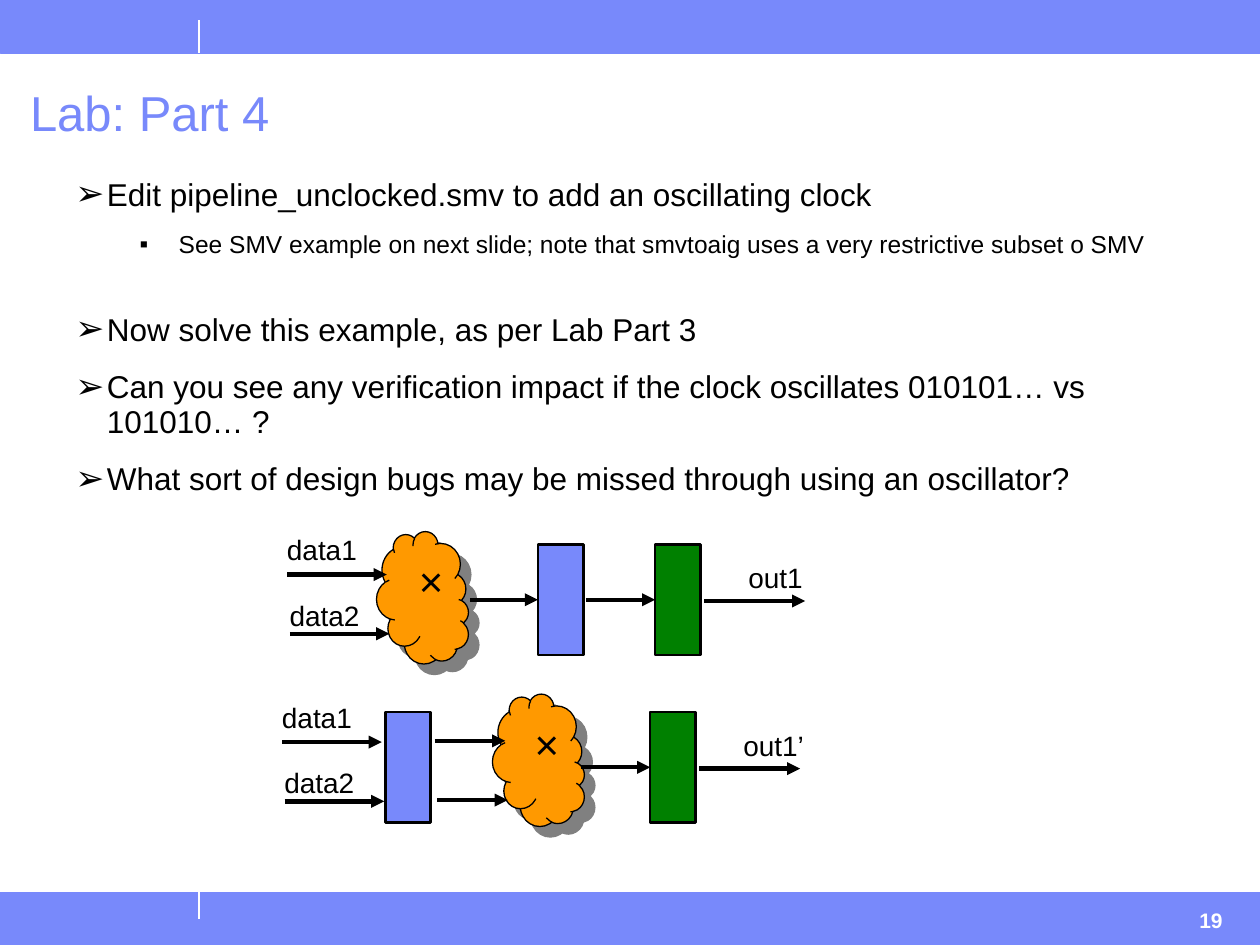
from lxml.etree import SubElement
from pptx import Presentation
from pptx.dml.color import RGBColor
from pptx.enum.shapes import MSO_CONNECTOR, MSO_SHAPE
from pptx.enum.text import MSO_ANCHOR, PP_ALIGN
from pptx.oxml.ns import qn
from pptx.util import Inches, Pt

COLORS = {
    "periwinkle": "7889FB", "white": "FFFFFF", "black": "000000",
    "orange": "FF9900", "green": "008000", "gray": "808080",
}
TOPICS = [
    (0, "Edit pipeline_unclocked.smv to add an oscillating clock"),
    (1, "See SMV example on next slide; note that smvtoaig uses a very restrictive subset o SMV"),
    (0, "Now solve this example, as per Lab Part 3"),
    (0, "Can you see any verification impact if the clock oscillates 010101… vs 101010… ?"),
    (0, "What sort of design bugs may be missed through using an oscillator?"),
]
LEVELS = [
    dict(size=18, margin=0.25, hanging=0.25, before=6.8, after=6.8, bullet="➢", percent=110),
    dict(size=14, margin=0.82, hanging=0.31, before=4.4, after=24.6, bullet="▪", percent=100),
]


def rgb(name):
    """Return the named colour."""
    return RGBColor.from_string(COLORS[name])


def add_element(parent, tag, **attributes):
    """Append a drawing element with its attributes."""
    return SubElement(parent, qn(tag), {key: str(value) for key, value in attributes.items()})


def write_text(paragraph, text, size=16, color="black", bold=False, align=PP_ALIGN.LEFT, spacing=None):
    """Write formatted text into a paragraph."""
    paragraph.add_run().text = text
    paragraph.alignment = align
    paragraph.line_spacing = spacing
    font = paragraph.font
    font.name, font.size, font.bold = "Arial", Pt(size), bold
    font.color.rgb = rgb(color)


def add_frame(slide, left, top, width, height, wrap=True):
    """Add a text box and return its text frame."""
    box = slide.shapes.add_textbox(Inches(left), Inches(top), Inches(width), Inches(height))
    box.text_frame.word_wrap = wrap
    return box.text_frame


def add_label(slide, text, left, top, width):
    """Add a centred signal label."""
    frame = add_frame(slide, left, top, width, 0.37, wrap=False)
    frame.margin_left = frame.margin_right = Inches(0.02)
    write_text(frame.paragraphs[0], text, align=PP_ALIGN.CENTER)


def add_block(slide, kind, left, top, width, height, fill, line="black", weight=1.5):
    """Add a filled and outlined shape."""
    shape = slide.shapes.add_shape(kind, Inches(left), Inches(top), Inches(width), Inches(height))
    shape.shadow.inherit = False
    shape.fill.solid()
    shape.fill.fore_color.rgb = rgb(fill)
    shape.line.color.rgb = rgb(line)
    shape.line.width = Pt(weight)
    return shape


def add_line(slide, start, end, color="black", weight=2.5, arrow=True, target=None):
    """Add a straight line, joined to the left side of a target if given."""
    points = [Inches(value) for value in (*start, *end)]
    connector = slide.shapes.add_connector(MSO_CONNECTOR.STRAIGHT, *points)
    connector.line.color.rgb = rgb(color)
    connector.line.width = Pt(weight)
    if arrow:
        add_element(connector.line._get_or_add_ln(), "a:tailEnd", type="triangle")
    add_element(connector._element.spPr, "a:effectLst")
    if target is not None:
        connector.end_connect(target, 1)


def add_cloud(slide, left, top):
    """Add the upright logic cloud with its shadow and operator."""
    cloud = add_block(slide, MSO_SHAPE.CLOUD, left, top, 1.05, 0.73, "orange", weight=0.75)
    cloud.rotation = 90
    effects = cloud._element.spPr.find(qn("a:effectLst"))
    shadow = add_element(effects, "a:outerShdw", dist=Pt(8.5), dir=45 * 60000, algn="ctr", rotWithShape=0)
    add_element(shadow, "a:srgbClr", val=COLORS["gray"])
    frame = cloud.text_frame
    frame.vertical_anchor = MSO_ANCHOR.TOP
    frame.margin_left = frame.margin_right = Inches(0.05)
    frame.margin_top = frame.margin_bottom = Inches(0.1)
    body = frame._txBody.bodyPr
    body.set("vert", "eaVert")
    body.set("rot", str(180 * 60000))
    write_text(frame.paragraphs[0], "×", size=24, align=PP_ALIGN.CENTER)


def add_bands(slide, width, height, number):
    """Add the top and bottom bands, their ticks and the slide number."""
    band = 0.42
    for top, tick_start, tick_end in ((0, 0.16, band), (height - band, height - band, 7.29)):
        add_block(slide, MSO_SHAPE.RECTANGLE, 0, top, width, band, "periwinkle", "periwinkle", 0.25)
        add_line(slide, (1.58, tick_start), (1.58, tick_end), "white", 0.75, arrow=False)
    frame = add_frame(slide, width - 0.58, height - 0.35, 0.49, 0.35)
    write_text(frame.paragraphs[0], number, size=12, color="white", bold=True)


def add_title(slide, text, left, top, width, height):
    """Add the slide title."""
    frame = add_frame(slide, left, top, width, height)
    write_text(frame.paragraphs[0], text, size=28, color="periwinkle", spacing=0.9)


def add_topics(slide, topics, left, top, width, height):
    """Add the two-level bullet list."""
    frame = add_frame(slide, left, top, width, height)
    for index, (depth, text) in enumerate(topics):
        level = LEVELS[depth]
        paragraph = frame.add_paragraph() if index else frame.paragraphs[0]
        paragraph.level = depth
        properties = paragraph._p.get_or_add_pPr()
        properties.set("marL", str(Inches(level["margin"])))
        properties.set("indent", str(-Inches(level["hanging"])))
        bullet_color = add_element(properties, "a:buClr")
        add_element(bullet_color, "a:srgbClr", val=COLORS["black"])
        add_element(properties, "a:buSzPct", val=level["percent"] * 1000)
        add_element(properties, "a:buFont", typeface="Arial")
        add_element(properties, "a:buChar", char=level["bullet"])
        if index:
            paragraph.space_before = Pt(level["before"])
        paragraph.space_after = Pt(level["after"])
        write_text(paragraph, text, size=level["size"], spacing=0.9)


def add_pipeline(slide, left, top, output, output_width, cloud_first):
    """Add one pipeline row with the cloud before or after the first register."""
    axis = top + 0.59

    def add_register(offset, fill):
        """Add a register centred on the row axis."""
        return add_block(slide, MSO_SHAPE.RECTANGLE, left + offset, axis - 0.44, 0.36, 0.88, fill)

    register = add_register(2.09 if cloud_first else 0.92, "periwinkle")
    if cloud_first:
        add_cloud(slide, left + 0.65, top + 0.21)
        add_line(slide, (left + 1.55, axis), (left + 2.09, axis), target=register)
    else:
        add_cloud(slide, left + 1.61, top + 0.17)
    for index, name in enumerate(("data1", "data2")):
        shift = left + 0.02 * index
        wire = top + 0.39 + 0.47 * index
        add_label(slide, name, shift, top + 0.01 + 0.52 * index, 0.75)
        add_line(slide, (shift + 0.1, wire), (shift + 0.89, wire))
        if not cloud_first:
            add_line(slide, (shift + 1.31, wire - 0.01), (shift + 1.87, wire - 0.01))
    final_register = add_register(3.02, "green")
    add_line(slide, (left + 2.47, axis), (left + 3.02, axis), target=final_register)
    add_line(slide, (left + 3.41, axis + 0.01), (left + 4.21, axis + 0.01))
    add_label(slide, output, left + 3.66, top + 0.23, output_width)


def main():
    """Build and save the slide."""
    presentation = Presentation()
    presentation.slide_width, presentation.slide_height = Inches(10), Inches(7.5)
    slide = presentation.slides.add_slide(presentation.slide_layouts[6])
    add_bands(slide, 10, 7.5, "19")
    add_title(slide, "Lab: Part 4", 0.14, 0.66, 9.83, 0.5)
    add_topics(slide, TOPICS, 0.5, 1.37, 9.26, 2.75)
    add_pipeline(slide, 2.18, 4.17, "out1", 0.63, cloud_first=True)
    add_pipeline(slide, 2.14, 5.5, "out1’", 0.68, cloud_first=False)
    presentation.save("out.pptx")


if __name__ == "__main__":
    main()
